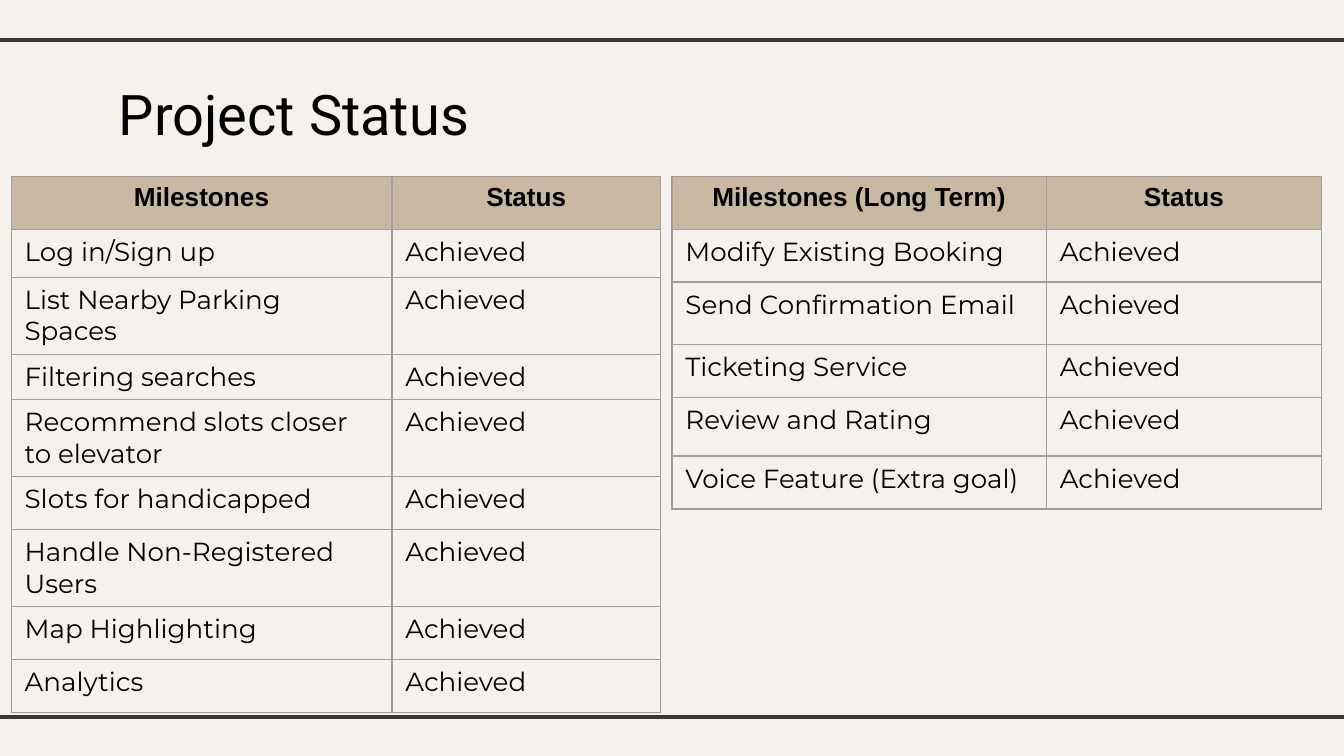
from lxml import etree
from pptx import Presentation
from pptx.dml.color import RGBColor
from pptx.enum import shapes, text
from pptx.oxml.ns import qn
from pptx.util import Pt

COLORS = {"bg": "F5F2EE", "rule": "3F3533", "header": "C8B8A2",
          "border": "9E9E9E", "text": "000000"}
SLIDE_W, SLIDE_H = 720, 405

CURRENT = ["Log in/Sign up", "List Nearby Parking Spaces", "Filtering searches",
           "Recommend slots closer to elevator", "Slots for handicapped",
           "Handle Non-Registered Users", "Map Highlighting", "Analytics"]
LONG_TERM = ["Modify Existing Booking", "Send Confirmation Email",
             "Ticketing Service", "Review and Rating",
             "Voice Feature (Extra goal)"]


def color(name):
    return RGBColor.from_string(COLORS[name])


def style_run(r, font, size, bold=False):
    r.font.name = font
    r.font.size = Pt(size)
    r.font.bold = bold
    r.font.color.rgb = color("text")


def add_rule(s, y):
    line = s.shapes.add_connector(shapes.MSO_CONNECTOR.STRAIGHT,
                                  Pt(-6), Pt(y), Pt(SLIDE_W + 6), Pt(y))
    line.line.color.rgb = color("rule")
    line.line.width = Pt(2.25)
    etree.SubElement(line._element.spPr, qn("a:effectLst"))


def set_title(s, box, title):
    sp = s.shapes.title
    sp.left, sp.top, sp.width, sp.height = map(Pt, box)
    tf = sp.text_frame
    tf.text = title
    tf.margin_left = tf.margin_top = tf.margin_right = tf.margin_bottom = Pt(7.2)
    tf.vertical_anchor = text.MSO_ANCHOR.TOP
    tf.auto_size = text.MSO_AUTO_SIZE.NONE
    p = tf.paragraphs[0]
    p.alignment = text.PP_ALIGN.LEFT
    style_run(p.runs[0], "Roboto", 30)


def set_borders(cell):
    tc_pr = cell._tc.get_or_add_tcPr()
    for i, side in enumerate(("lnL", "lnR", "lnT", "lnB")):
        ln = etree.Element(qn(f"a:{side}"), w=str(Pt(0.75)))
        fill = etree.SubElement(ln, qn("a:solidFill"))
        etree.SubElement(fill, qn("a:srgbClr"), val=COLORS["border"])
        tc_pr.insert(i, ln)


def fill_cell(cell, label, header):
    cell.text = label
    p = cell.text_frame.paragraphs[0]
    p.alignment = text.PP_ALIGN.CENTER if header else text.PP_ALIGN.LEFT
    style_run(p.runs[0], "Arial" if header else "Montserrat", 14, header)
    if header:
        cell.fill.solid()
        cell.fill.fore_color.rgb = color("header")
    else:
        cell.fill.background()
    set_borders(cell)


def add_status_table(s, left, top, heading, milestones, widths, heights):
    rows = [(heading, "Status")] + [(m, "Achieved") for m in milestones]
    frame = s.shapes.add_table(len(rows), 2, Pt(left), Pt(top),
                               Pt(sum(widths)), Pt(sum(heights)))
    table = frame.table
    table.horz_banding = False
    for column, width in zip(table.columns, widths):
        column.width = Pt(width)
    for i, (row, height, labels) in enumerate(zip(table.rows, heights, rows)):
        row.height = Pt(height)
        for cell, label in zip(row.cells, labels):
            fill_cell(cell, label, i == 0)


def build_status_slide(prs):
    s = prs.slides.add_slide(prs.slide_layouts[5])
    s.background.fill.solid()
    s.background.fill.fore_color.rgb = color("bg")
    for y in (21.5, 384):
        add_rule(s, y)
    set_title(s, (56.5, 35.5, 607.5, 45), "Project Status")
    normal, double = 28.3, 41.2
    add_status_table(s, 6, 94.5, "Milestones", CURRENT, (204, 144),
                     (normal, 25.7, double, 24.2, double, normal, double,
                      normal, normal))
    add_status_table(s, 360, 94.5, "Milestones (Long Term)", LONG_TERM,
                     (200.6, 147.4),
                     (normal, normal, 33.5, normal, 31.5, normal))


def main():
    prs = Presentation()
    prs.slide_width, prs.slide_height = Pt(SLIDE_W), Pt(SLIDE_H)
    build_status_slide(prs)
    prs.save("out.pptx")


if __name__ == "__main__":
    main()
